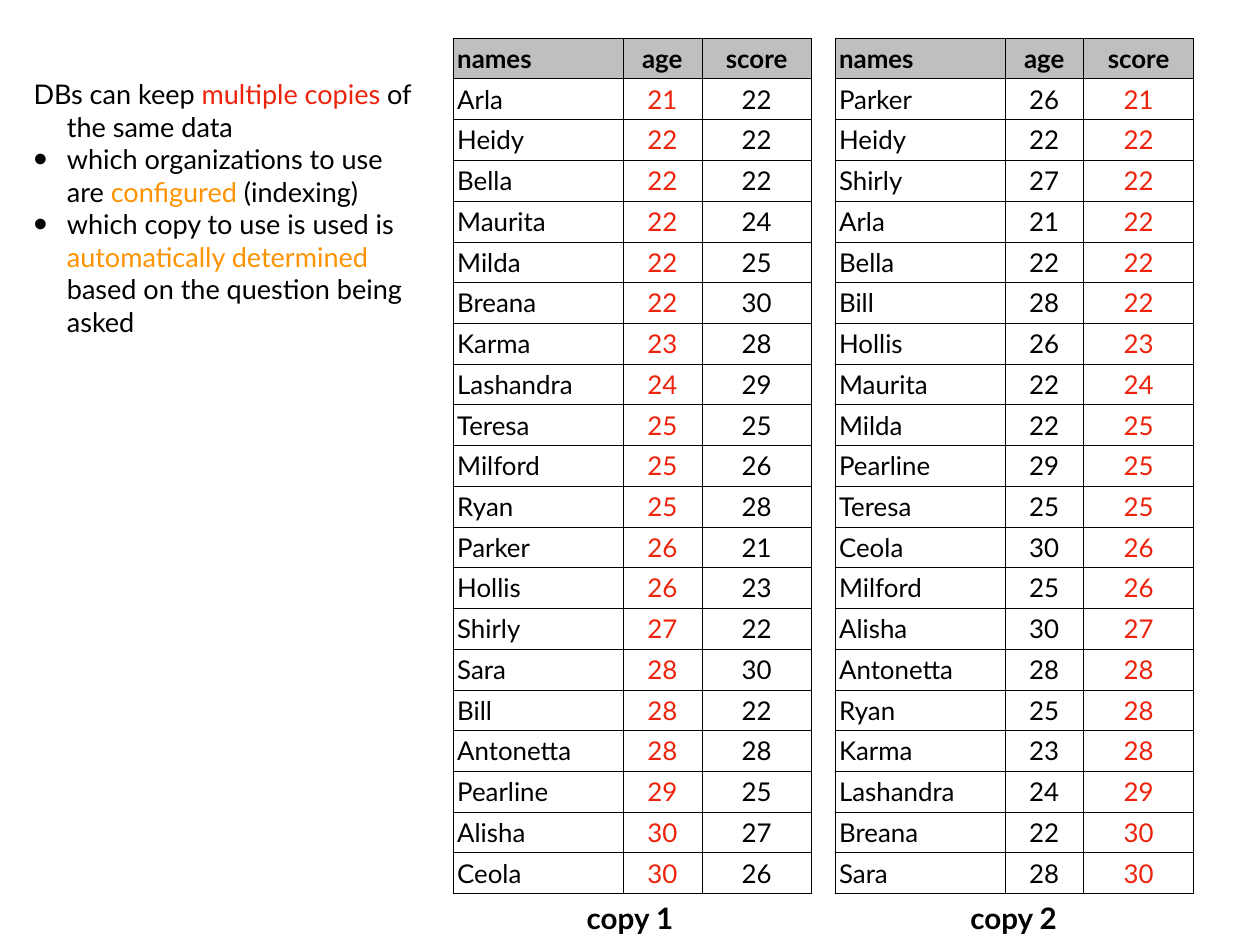
from lxml import etree
from pptx import Presentation
from pptx import util as u
from pptx.dml.color import RGBColor
from pptx.enum import text
from pptx.oxml.ns import qn

PX = 9144
FONT = "Lato"
COLORS = {"ink": "000000", "key": "EE230C", "accent": "FE9301", "header": "BEC0BF"}
COLUMNS = {"names": 192, "age": 89, "score": 124}
ROW_HEIGHT = 46
INSETS = dict.fromkeys(
    ("margin_left", "margin_right", "margin_top", "margin_bottom"), 5 * PX)

PEOPLE = {
    "Arla": (21, 22), "Heidy": (22, 22), "Bella": (22, 22), "Maurita": (22, 24),
    "Milda": (22, 25), "Breana": (22, 30), "Karma": (23, 28), "Lashandra": (24, 29),
    "Teresa": (25, 25), "Milford": (25, 26), "Ryan": (25, 28), "Parker": (26, 21),
    "Hollis": (26, 23), "Shirly": (27, 22), "Sara": (28, 30), "Bill": (28, 22),
    "Antonetta": (28, 28), "Pearline": (29, 25), "Alisha": (30, 27), "Ceola": (30, 26),
}
SCORE_ORDER = [
    "Parker", "Heidy", "Shirly", "Arla", "Bella", "Bill", "Hollis", "Maurita",
    "Milda", "Pearline", "Teresa", "Ceola", "Milford", "Alisha", "Antonetta",
    "Ryan", "Karma", "Lashandra", "Breana", "Sara",
]
EXPLANATION = [
    [("DBs can keep ", "ink"), ("multiple copies", "key"), (" of the same data", "ink")],
    [("which organizations to use are ", "ink"), ("configured", "accent"),
     (" (indexing)", "ink")],
    [("which copy to use is used is ", "ink"), ("automatically determined ", "accent"),
     ("based on the question being asked", "ink")],
]


def apply(target, values):
    """Set each named format value on the target."""
    for name, value in values.items():
        setattr(target, name, value)


def add_words(paragraph, words, size, color="ink", bold=False):
    """Append one formatted run to a paragraph."""
    run = paragraph.add_run()
    run.text = words
    apply(run.font, {"name": FONT, "size": u.Pt(size), "bold": bold})
    run.font.color.rgb = RGBColor.from_string(COLORS[color])


def add_borders(cell, widths):
    """Draw the cell's edges in ink, with a width in points for each side."""
    properties = cell._tc.get_or_add_tcPr()
    for side, width in widths.items():
        edge = etree.SubElement(properties, qn(f"a:ln{side}"), w=str(u.Pt(width)))
        fill = etree.SubElement(edge, qn("a:solidFill"))
        etree.SubElement(fill, qn("a:srgbClr"), val=COLORS["ink"])


def add_bullet(paragraph):
    """Give a paragraph a large round bullet with a hanging indent."""
    properties = paragraph._p.get_or_add_pPr()
    apply(properties, {"marL": 53 * PX, "indent": -38 * PX})
    etree.SubElement(properties, qn("a:buSzPct"), val="145000")
    etree.SubElement(properties, qn("a:buChar"), char="•")


def fill_cell(cell, value, row, column, key_column):
    """Write and format one value of a data copy."""
    is_header = row == 0
    apply(cell, {**INSETS, "vertical_anchor": text.MSO_ANCHOR.MIDDLE})
    add_borders(cell, {"L": 0.35, "R": 0.35, "T": 0.75 if row == 1 else 0.35,
                       "B": 0.75 if is_header else 0.35})
    if is_header:
        cell.fill.solid()
        cell.fill.fore_color.rgb = RGBColor.from_string(COLORS["header"])
    else:
        cell.fill.background()
    entry = cell.text_frame.paragraphs[0]
    entry.alignment = text.PP_ALIGN.CENTER if column else text.PP_ALIGN.LEFT
    color = "key" if column == key_column and not is_header else "ink"
    add_words(entry, str(value), 21, color, is_header)


def add_data_copy(slide, left, top, order, key_column, title, title_left):
    """Place one sorted copy of the data with its caption below."""
    records = [tuple(COLUMNS)] + [(name, *PEOPLE[name]) for name in order]
    height = ROW_HEIGHT * len(records)
    data = slide.shapes.add_table(
        len(records), len(COLUMNS), left * PX, top * PX,
        sum(COLUMNS.values()) * PX, height * PX).table
    apply(data, {"first_row": False, "horz_banding": False})
    for column, width in zip(data.columns, COLUMNS.values()):
        column.width = width * PX
    for row, record in enumerate(records):
        data.rows[row].height = ROW_HEIGHT * PX
        for column, value in enumerate(record):
            fill_cell(data.cell(row, column), value, row, column, key_column)

    caption = slide.shapes.add_textbox(
        (left + title_left) * PX, (top + height + 2) * PX, 120 * PX, 50 * PX).text_frame
    apply(caption, {**INSETS, "word_wrap": False,
                    "vertical_anchor": text.MSO_ANCHOR.MIDDLE})
    caption.paragraphs[0].alignment = text.PP_ALIGN.CENTER
    add_words(caption.paragraphs[0], title, 24, bold=True)


def add_explanation(slide, left, top, width, height):
    """Place the opening sentence and its two bullets in the body placeholder."""
    body = slide.placeholders[1]
    apply(body, {"left": left * PX, "top": top * PX,
                 "width": width * PX, "height": height * PX})
    frame = body.text_frame
    apply(frame, {**INSETS, "word_wrap": True, "auto_size": text.MSO_AUTO_SIZE.NONE,
                  "vertical_anchor": text.MSO_ANCHOR.TOP})
    for index, phrases in enumerate(EXPLANATION):
        point = frame.add_paragraph() if index else frame.paragraphs[0]
        apply(point, {"space_before": u.Pt(0), "line_spacing": 1.0})
        if index:
            add_bullet(point)
        else:
            properties = point._p.get_or_add_pPr()
            apply(properties, {"marL": 0, "indent": 0})
            etree.SubElement(properties, qn("a:buNone"))
        for words, color in phrases:
            add_words(point, words, 22, color)


def main():
    """Build the slide and save it."""
    deck = Presentation()
    apply(deck, {"slide_width": 1422 * PX, "slide_height": 1067 * PX})
    slide = deck.slides.add_slide(deck.slide_layouts.get_by_name("Title and Content"))
    heading = slide.shapes.title.element
    heading.getparent().remove(heading)
    add_explanation(slide, 33, 83, 453, 845)
    add_data_copy(slide, 511, 43, list(PEOPLE), 1, "copy 1", 140)
    add_data_copy(slide, 942, 43, SCORE_ORDER, 2, "copy 2", 142)
    deck.save("out.pptx")


if __name__ == "__main__":
    main()
